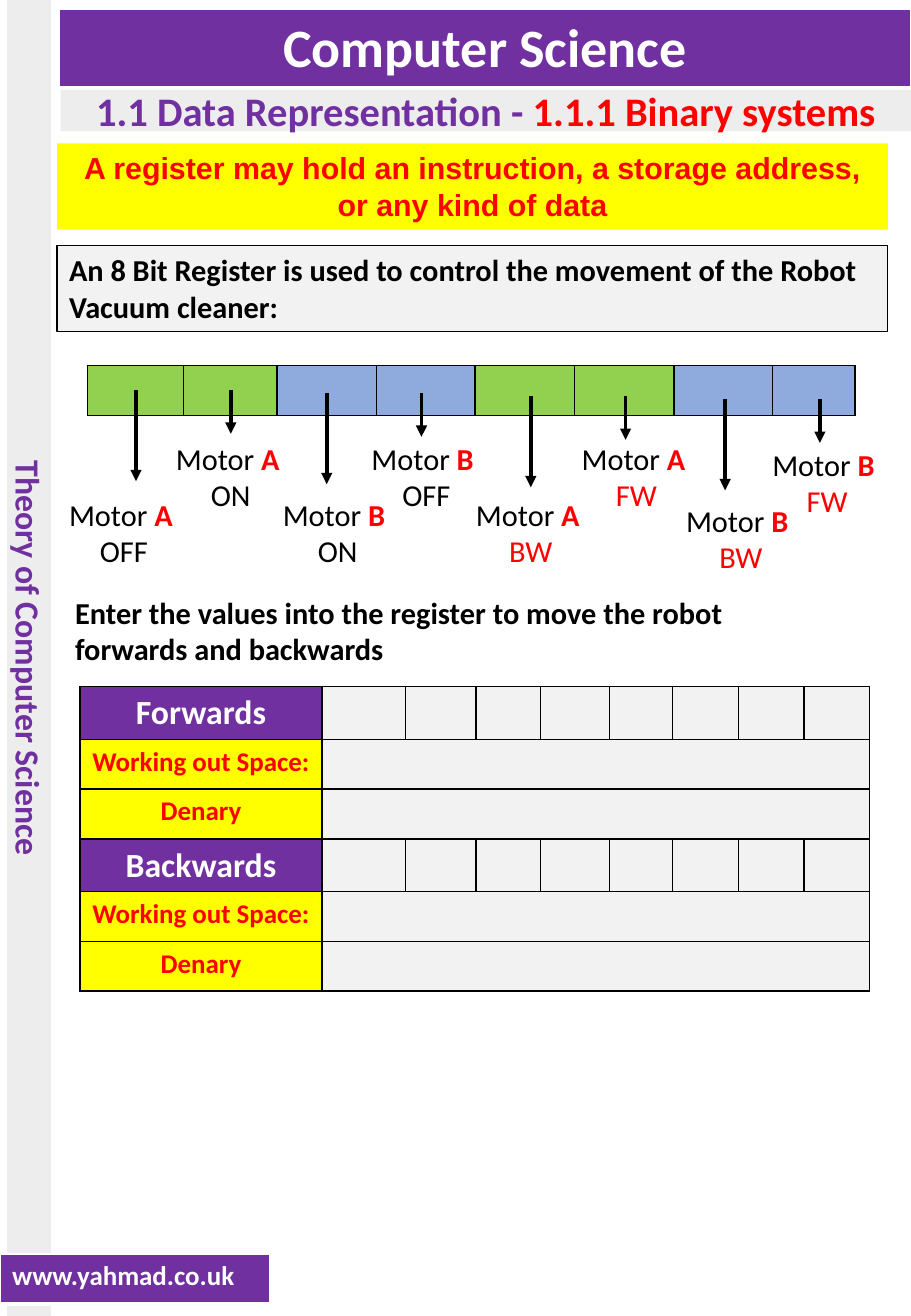
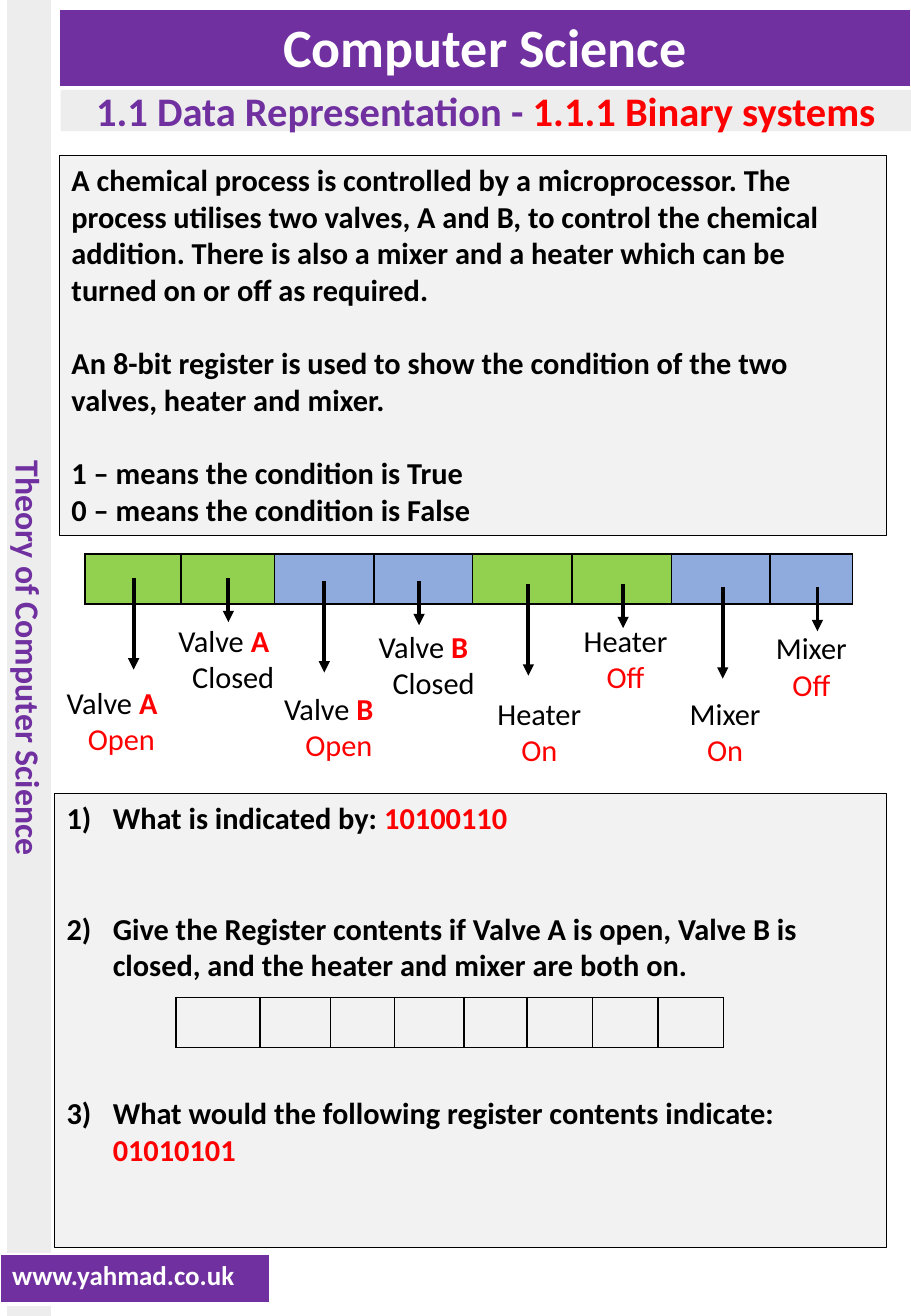
from lxml import etree
from pptx import Presentation
from pptx.dml.color import RGBColor
from pptx.enum.shapes import MSO_CONNECTOR, MSO_SHAPE
from pptx.enum.text import MSO_ANCHOR, PP_ALIGN
from pptx.oxml.ns import qn
from pptx.util import Inches, Pt

RECT, STRAIGHT = MSO_SHAPE.RECTANGLE, MSO_CONNECTOR.STRAIGHT
TOP, MIDDLE = MSO_ANCHOR.TOP, MSO_ANCHOR.MIDDLE
LEFT, CENTER = PP_ALIGN.LEFT, PP_ALIGN.CENTER

# Palette and type
PURPLE, RED, YELLOW, BLACK, WHITE = "7030A0", "FF0000", "FFFF00", "000000", "FFFFFF"
BAND, PANEL, GREEN, BLUE = "EDEDED", "F2F2F2", "92D050", "8FAADC"
FONT, BODY, LINE = "Calibri", 18, 22

# Grid, in inches
SLIDE_W, SLIDE_H = 7.5, 10.83
COL_X, COL_W = 0.47, 6.84
ROW_H = 0.41
BOX_H = 0.71
REGISTER_COLS = [0.79, 0.77, 0.82, 0.81, 0.82, 0.82, 0.81, 0.68]
REGISTER_FILLS = [GREEN, GREEN, BLUE, BLUE] * 2
BIT_COLS = [0.69, 0.58, 0.53, 0.57, 0.52, 0.54, 0.54, 0.54]
ARROW_PAIRS = [0.4, 1.97, 3.65, 5.25]
ARROW_STEP, ARROW_LENGTHS = 0.78, (0.75, 0.36)
BLACK_GRID = dict.fromkeys("LRTB", (BLACK, 1))
WHITE_FRAME = {**dict.fromkeys("LRT", (WHITE, 1)), "B": (WHITE, 3)}


def rgb(value):
    return RGBColor.from_string(value)


def inches(*lengths):
    return [Inches(length) for length in lengths]


def para(*runs, align=LEFT, before=0, number=False):
    """A paragraph whose runs are (text, colour, bold)."""
    return runs, align, before, number


def write(tf, paras, size=BODY, font=FONT):
    tf.word_wrap = True
    for i, (runs, align, before, number) in enumerate(paras):
        p = tf.paragraphs[0] if i == 0 else tf.add_paragraph()
        p.alignment = align
        if before:
            p.space_before = Pt(before)
        if number:
            pPr = p._p.get_or_add_pPr()
            pPr.set("marL", str(Inches(0.38)))
            pPr.set("indent", str(-Inches(0.38)))
            etree.SubElement(pPr, qn("a:buAutoNum"), type="arabicParenR")
        for text, color, bold in runs:
            r = p.add_run()
            r.text = text
            r.font.name, r.font.size, r.font.bold = font, Pt(size), bold
            r.font.color.rgb = rgb(color)


def add_box(s, x, y, w, h, paras, fill, line=None, anchor=TOP, **style):
    sp = s.shapes.add_shape(RECT, *inches(x, y, w, h))
    sp.shadow.inherit = False
    sp.fill.solid()
    sp.fill.fore_color.rgb = rgb(fill)
    if line:
        sp.line.color.rgb = rgb(line)
        sp.line.width = Pt(0.75)
    else:
        sp.line.fill.background()
    sp.text_frame.vertical_anchor = anchor
    write(sp.text_frame, paras, **style)
    return sp


def add_text(s, x, y, w, h, paras):
    write(s.shapes.add_textbox(*inches(x, y, w, h)).text_frame, paras)


def add_arrow(s, x, y, length):
    line = s.shapes.add_connector(STRAIGHT, *inches(x, y, x, y + length))
    line.line.color.rgb = rgb(BLACK)
    line.line.width = Pt(2.25)
    etree.SubElement(line.line._get_or_add_ln(), qn("a:tailEnd"), type="triangle")
    etree.SubElement(line._element.spPr, qn("a:effectLst"))


# Tables
def set_borders(cell, borders):
    tcPr = cell._tc.get_or_add_tcPr()
    for i, side in enumerate("LRTB"):
        color, width = borders[side]
        ln = etree.Element(qn("a:ln" + side), w=str(Pt(width)))
        fill = etree.SubElement(ln, qn("a:solidFill"))
        etree.SubElement(fill, qn("a:srgbClr"), val=color)
        tcPr.insert(i, ln)


def add_grid(s, x, y, cols, fills, row_h=ROW_H, borders=BLACK_GRID):
    """A table with one row for each list of cell fills."""
    frame = s.shapes.add_table(len(fills), len(cols),
                               *inches(x, y, sum(cols), row_h * len(fills)))
    table = frame.table
    table.first_row = table.horz_banding = False
    for column, width in zip(table.columns, cols):
        column.width = Inches(width)
    for r, row in enumerate(fills):
        for c, fill in enumerate(row):
            cell = table.cell(r, c)
            cell.fill.solid()
            cell.fill.fore_color.rgb = rgb(fill)
            set_borders(cell, borders)
    return table


def add_banner(s, x, y, w, h, text, size, align):
    table = add_grid(s, x, y, [w], [[PURPLE]], h, WHITE_FRAME)
    write(table.cell(0, 0).text_frame, [para((text, WHITE, True), align=align)], size)


def add_answer_table(s, x, y, first_col, headings):
    labels = [(text, size, color, fill) for heading in headings
              for text, size, color, fill in ((heading, 20, WHITE, PURPLE),
                                              ("Working out Space:", 16, RED, YELLOW),
                                              ("Denary", 16, RED, YELLOW))]
    fills = [[fill] + [PANEL] * len(BIT_COLS) for *_, fill in labels]
    table = add_grid(s, x, y, [first_col] + BIT_COLS, fills)
    for r, (text, size, color, _) in enumerate(labels):
        write(table.cell(r, 0).text_frame,
              [para((text, color, True), align=CENTER)], size)
        if color == RED:
            table.cell(r, 1).merge(table.cell(r, len(BIT_COLS)))


# Register with an arrow and a label for each bit
def two_part(name, letter, state, color):
    return [para((name + " ", BLACK, False), (letter, RED, True)),
            para((state, color, False), align=CENTER)]


def one_part(name, state):
    return [para((name + " ", BLACK, False), (state, RED, False), align=CENTER)]


def add_register(s, x, y, labels):
    add_grid(s, x, y, REGISTER_COLS, [REGISTER_FILLS])
    for i, pair_x in enumerate(ARROW_PAIRS):
        for j, length in enumerate(ARROW_LENGTHS):
            add_arrow(s, x + pair_x + j * ARROW_STEP, y + 0.2 + 0.025 * i, length)
    for label_x, label_y, paras in labels:
        add_text(s, label_x, label_y, 1.1, BOX_H, paras)


# Shared frame
def add_slide(prs):
    s = prs.slides.add_slide(prs.slide_layouts[6])
    side = add_box(s, 0.06, 0, 0.36, SLIDE_H,
                   [para(("Theory of Computer Science", PURPLE, True), align=CENTER)],
                   BAND, anchor=MIDDLE, size=20)
    side.text_frame._txBody.bodyPr.set("vert", "vert")
    add_banner(s, 0.49, 0.08, 7.01, 0.63, "Computer Science", 32, CENTER)
    add_banner(s, 0, 10.32, 2.22, ROW_H, "www.yahmad.co.uk", 16, LEFT)
    add_box(s, 0.5, 0.74, 7, 0.34,
            [para(("1.1 Data Representation - ", PURPLE, True),
                  ("1.1.1 Binary systems", RED, True), align=CENTER)],
            BAND, anchor=MIDDLE, size=24)
    return s


def robot_slide(prs):
    s = add_slide(prs)
    add_box(s, COL_X, 1.18, COL_W, BOX_H,
            [para(("A register may hold an instruction, a storage address, "
                   "or any kind of data", RED, True), align=CENTER)],
            YELLOW, font="Arial")
    add_box(s, COL_X, 2.02, COL_W, BOX_H,
            [para(("An 8 Bit Register is used to control the movement of the "
                   "Robot Vacuum cleaner:", BLACK, True))], PANEL, BLACK)
    add_register(s, 0.72, 3.01, [
        (0.47, 4.03, two_part("Motor", "A", "OFF", BLACK)),
        (1.35, 3.57, two_part("Motor", "A", "ON", BLACK)),
        (2.23, 4.03, two_part("Motor", "B", "ON", BLACK)),
        (2.96, 3.57, two_part("Motor", "B", "OFF", BLACK)),
        (3.82, 4.03, two_part("Motor", "A", "BW", RED)),
        (4.69, 3.57, two_part("Motor", "A", "FW", RED)),
        (5.55, 4.08, two_part("Motor", "B", "BW", RED)),
        (6.26, 3.62, two_part("Motor", "B", "FW", RED)),
    ])
    add_text(s, 0.52, 4.84, 5.64, BOX_H,
             [para(("Enter the values into the register to move the robot "
                    "forwards and backwards", BLACK, True))])
    add_answer_table(s, 0.66, 5.65, 1.99, ["Forwards", "Backwards"])


def chemical_slide(prs):
    s = add_slide(prs)
    add_box(s, 0.49, 1.28, 6.81, 3.13, [
        para(("A chemical process is controlled by a microprocessor. The process "
              "utilises two valves, A and B, to control the chemical addition. "
              "There is also a mixer and a heater which can be turned on or off "
              "as required.", BLACK, True)),
        para(("An 8-bit register is used to show the condition of the two valves, "
              "heater and mixer.", BLACK, True), before=LINE),
        para(("1 – means the condition is True", BLACK, True), before=LINE),
        para(("0 – means the condition is False", BLACK, True)),
    ], PANEL, BLACK)
    add_register(s, 0.7, 4.56, [
        (0.45, 5.58, two_part("Valve", "A", "Open", RED)),
        (1.37, 5.07, two_part("Valve", "A", "Closed", BLACK)),
        (2.24, 5.63, two_part("Valve", "B", "Open", RED)),
        (3.02, 5.12, two_part("Valve", "B", "Closed", BLACK)),
        (3.89, 5.67, one_part("Heater", "On")),
        (4.6, 5.07, one_part("Heater", "Off")),
        (5.42, 5.67, one_part("Mixer", "On")),
        (6.13, 5.13, one_part("Mixer", "Off")),
    ])
    add_box(s, 0.45, 6.53, 6.85, 3.74, [
        para(("What is indicated by: ", BLACK, True), ("10100110", RED, True),
             number=True),
        para(("Give the Register contents if Valve A is open, Valve B is closed, "
              "and the heater and mixer are both on.", BLACK, True),
             before=2 * LINE, number=True),
        para(("What would the following register contents indicate: ", BLACK, True),
             ("01010101", RED, True), before=3 * LINE, number=True),
    ], PANEL, BLACK)
    add_grid(s, 1.45, 8.21, BIT_COLS, [[PANEL] * len(BIT_COLS)])


def main():
    prs = Presentation()
    prs.slide_width, prs.slide_height = inches(SLIDE_W, SLIDE_H)
    robot_slide(prs)
    chemical_slide(prs)
    prs.save("out.pptx")


if __name__ == "__main__":
    main()
